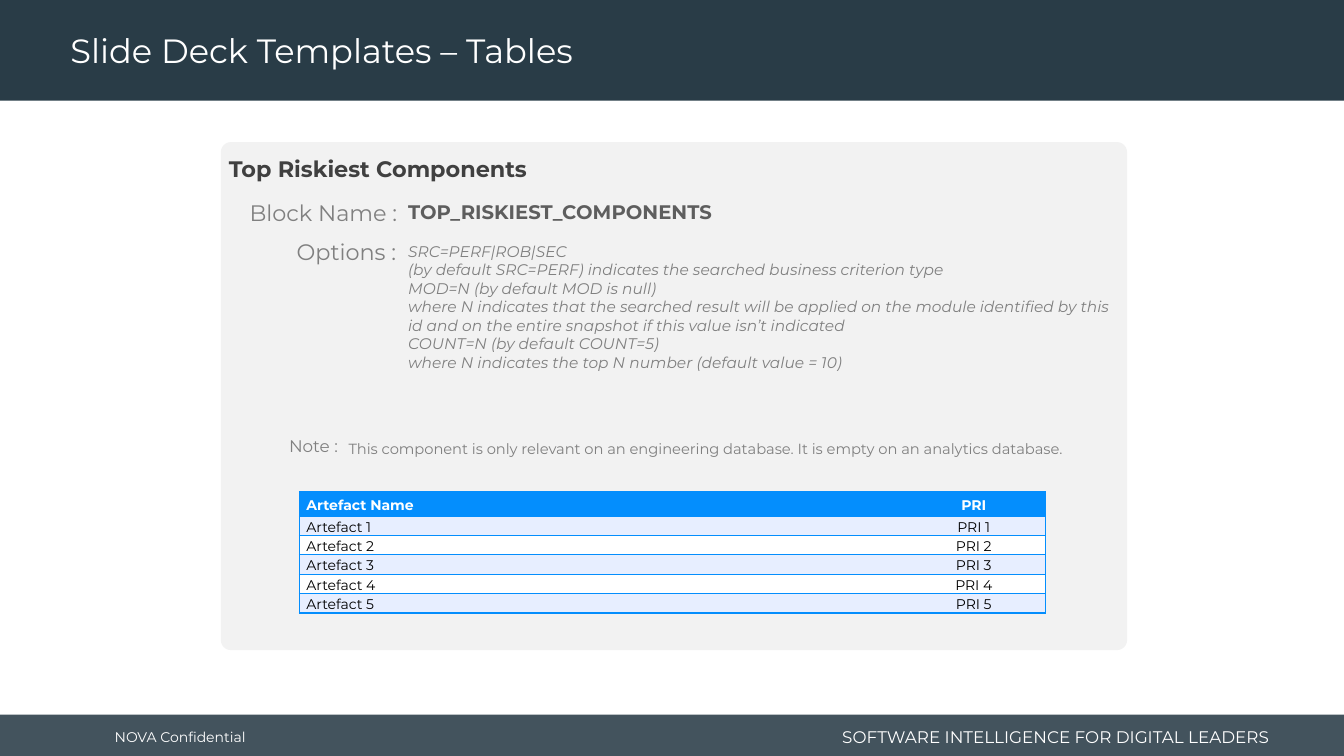
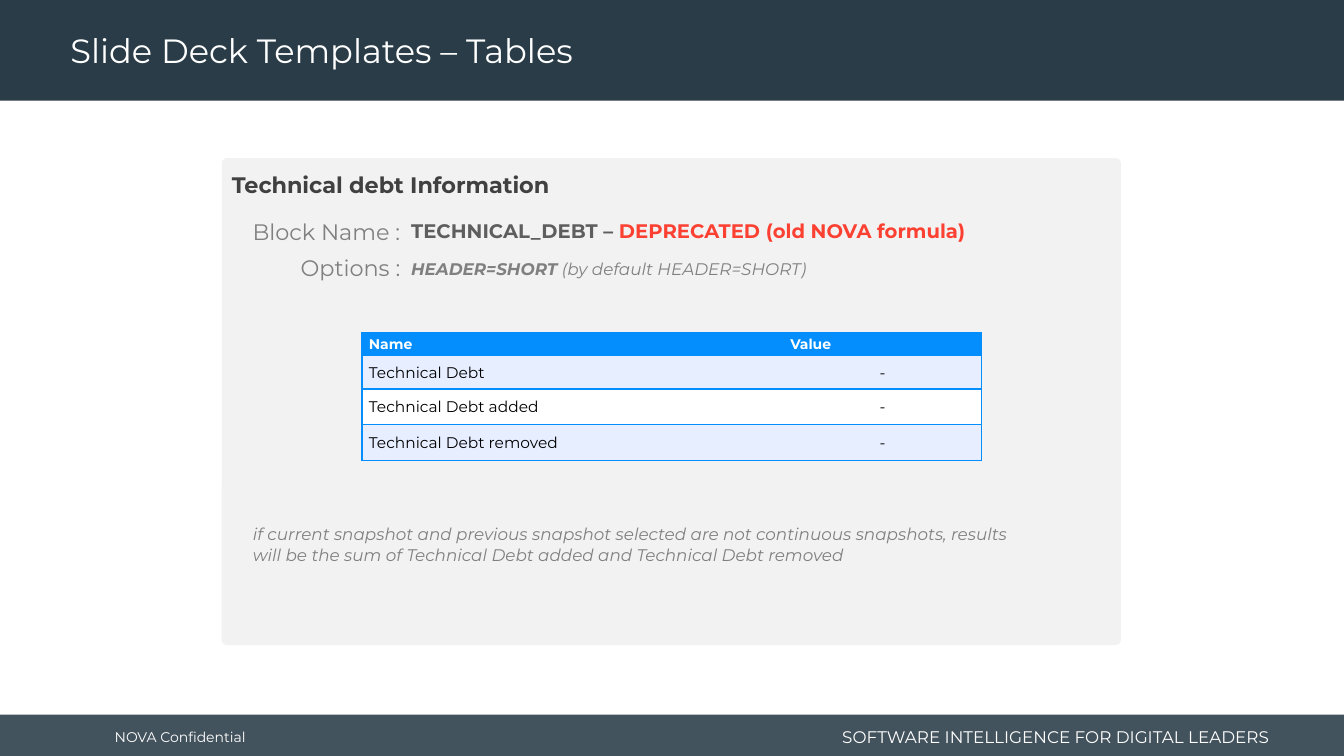
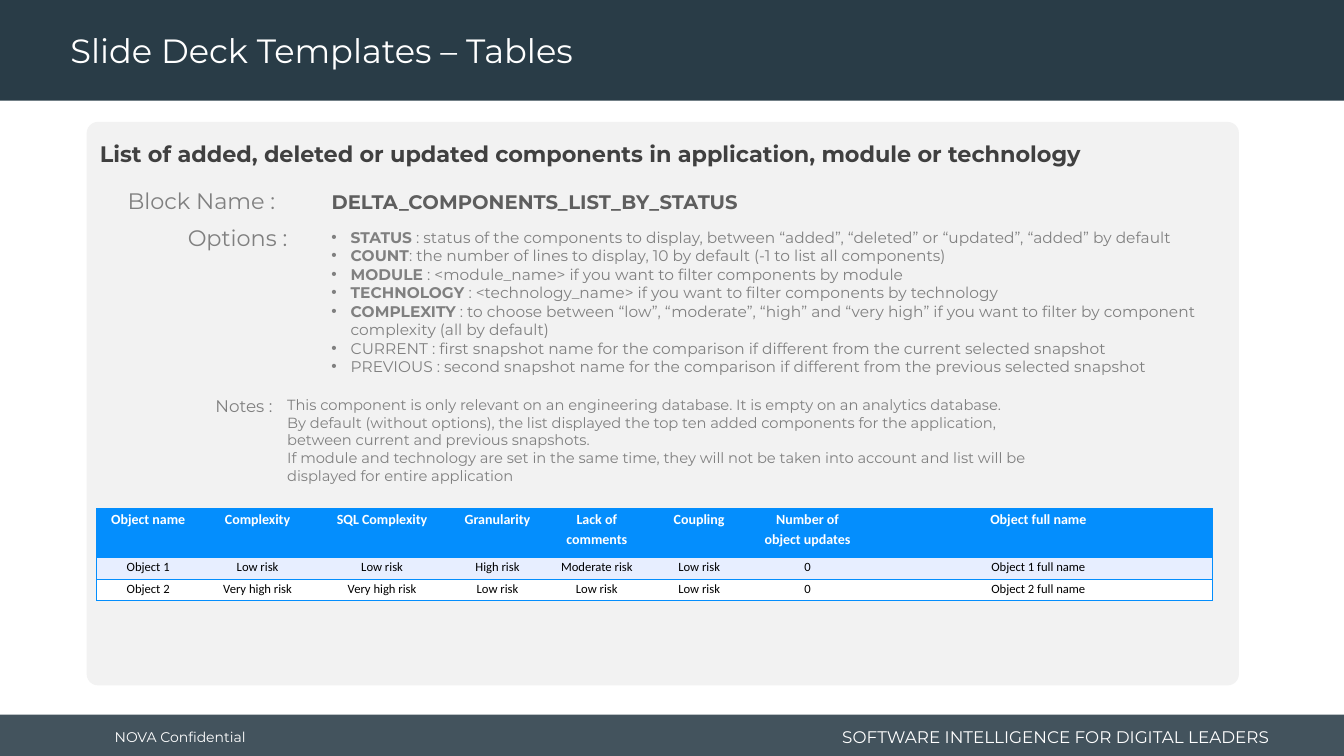
import pptx
import pptx.util
import pptx.dml.color
import pptx.enum.shapes
import pptx.enum.text
import pptx.oxml
import pptx.oxml.ns
import lxml.etree

WIDE = pptx.util.Inches(13.33)
HIGH = pptx.util.Inches(7.5)
FACE = "Montserrat"
HUES = {
    "navy": "293C47",
    "white": "FFFFFF",
    "black": "000000",
    "panel": "F2F2F2",
    "head": "404040",
    "name": "5E5E5E",
    "body": "808080",
    "blue": "048EFD",
    "tint": "E7EEFF",
    "red": "FC4132",
}
ALIGN = pptx.enum.text.PP_ALIGN
ANCHOR = pptx.enum.text.MSO_ANCHOR
SHAPE = pptx.enum.shapes.MSO_SHAPE


def across(share):
    return round(WIDE * share / 100)


def down(share):
    return round(HIGH * share / 100)


def place(left, top, width, height):
    return across(left), down(top), across(width), down(height)


def hue(name):
    return pptx.dml.color.RGBColor.from_string(HUES[name])


def child(parent, tag, **marks):
    node = lxml.etree.SubElement(parent, pptx.oxml.ns.qn(tag))
    for key, value in marks.items():
        node.set(key, str(value))
    return node


def style(run, size, color, bold=False, slant=False, face=FACE):
    run.font.size = pptx.util.Pt(size)
    run.font.name = face
    run.font.bold = bold
    run.font.italic = slant
    run.font.color.rgb = hue(color)


def block(slide, area, shape=SHAPE.RECTANGLE, color="navy", curve=None, solid=100):
    item = slide.shapes.add_shape(shape, *place(*area))
    item.shadow.inherit = False
    item.fill.solid()
    item.fill.fore_color.rgb = hue(color)
    item.line.fill.background()
    if curve is not None:
        item.adjustments[0] = curve
    if solid < 100:
        paint = item.fill._xPr.find(pptx.oxml.ns.qn("a:solidFill"))[0]
        child(paint, "a:alpha", val=solid * 1000)


def bullet(para):
    props = para._p.get_or_add_pPr()
    dent = pptx.util.Inches(0.19)
    props.set("marL", str(dent))
    props.set("indent", str(-dent))
    child(props, "a:buFont", typeface="Arial")
    child(props, "a:buChar", char="•")


def write(slide, area, lines, size, color, align=ALIGN.LEFT, anchor=ANCHOR.TOP,
          pad=0.1, space=None, dots=False, **look):
    item = slide.shapes.add_textbox(*place(*area))
    frame = item.text_frame
    frame.word_wrap = True
    frame.vertical_anchor = anchor
    frame.margin_left = frame.margin_right = pptx.util.Inches(pad)
    for index, line in enumerate(lines):
        para = frame.add_paragraph() if index else frame.paragraphs[0]
        para.alignment = align
        if space:
            para.line_spacing = space
        if dots:
            bullet(para)
        if isinstance(line, str):
            para.text = line
            for run in para.runs:
                style(run, size, color, **look)
            continue
        for text, change in line:
            run = para.add_run()
            run.text = text
            style(run, **{"size": size, "color": color, **look, **change})
    return frame


def label(slide, area, text, size=16):
    frame = write(slide, area, [text], size, "body", align=ALIGN.RIGHT)
    frame.word_wrap = False
    frame.auto_size = pptx.enum.text.MSO_AUTO_SIZE.SHAPE_TO_FIT_TEXT


def edge(cell, sides):
    props = cell._tc.get_or_add_tcPr()
    for index, side in enumerate("LRTB"):
        line = lxml.etree.Element(pptx.oxml.ns.qn("a:ln" + side))
        line.set("w", str(pptx.util.Pt(1)))
        if side in sides:
            child(child(line, "a:solidFill"), "a:srgbClr", val=HUES["blue"])
        else:
            child(line, "a:noFill")
        props.insert(index, line)


def grid(slide, left, top, cols, rows, cells, aligns, size=10, face=FACE,
         space=None, tops=(ANCHOR.MIDDLE, ANCHOR.MIDDLE), first=None):
    area = place(left, top, sum(cols), sum(rows))
    table = slide.shapes.add_table(len(rows), len(cols), *area).table
    table.first_row = table.horz_banding = False
    for col, width in zip(table.columns, cols):
        col.width = across(width)
    for row, height in zip(table.rows, rows):
        row.height = down(height)
    for r, texts in enumerate(cells):
        for c, text in enumerate(texts):
            cell = table.cell(r, c)
            cell.margin_left = cell.margin_right = pptx.util.Inches(0.07)
            cell.margin_top = cell.margin_bottom = 0
            cell.vertical_anchor = tops[min(r, 1)]
            cell.fill.solid()
            fill = "blue" if r == 0 else ("tint" if r % 2 else "white")
            cell.fill.fore_color.rgb = hue(fill)
            ends = "L" * (c == 0) + "R" * (c == len(cols) - 1)
            edge(cell, "TB" + ends)
            cell.text_frame.text = text
            para = cell.text_frame.paragraphs[0]
            para.alignment = (first or aligns)[c] if r == 0 else aligns[c]
            if space:
                para.line_spacing = space
            style(para.runs[0], 10 if r == 0 else size,
                  "black" if r else "white", bold=r == 0, face=face)


def start(deck):
    slide = deck.slides.add_slide(deck.slide_layouts[6])
    block(slide, (0, 94.53, 100, 5.47), solid=88)
    block(slide, (0, 0, 100, 13.33))
    write(slide, (7.8, 94.8, 13, 5.33), ["NOVA Confidential"], 10, "white",
          anchor=ANCHOR.MIDDLE)
    write(slide, (60.83, 95.33, 34.35, 4.27),
          ["SOFTWARE INTELLIGENCE FOR DIGITAL LEADERS"], 12, "white",
          align=ALIGN.RIGHT, anchor=ANCHOR.MIDDLE)
    write(slide, (4.5, 0.53, 71.85, 12.8), ["Slide Deck Templates – Tables"],
          24, "white", anchor=ANCHOR.MIDDLE, space=0.9)
    return slide


def card(slide, area, curve, title, head, name, tag, code, option):
    block(slide, area, SHAPE.ROUNDED_RECTANGLE, "panel", curve)
    write(slide, (*head, area[2], 4.93), [title], 16, "head", pad=0.2, bold=True)
    write(slide, (*code, 60, 4.53), [name], 14, "name", bold=True)
    label(slide, (*tag, 12.53, 4.93), "Block Name :")
    label(slide, (*option, 9.08, 4.93), "Options :")


def risk(deck):
    slide = start(deck)
    card(slide, (16.43, 18.8, 67.43, 67.2), 0.02, "Top Riskiest Components",
         (15.53, 19.87), "TOP_RISKIEST_COMPONENTS",
         (17.78, 25.73), (29.63, 25.73), (21.15, 30.8))
    write(slide, (29.63, 31.33, 54.38, 18.67), [
        "SRC=PERF|ROB|SEC",
        "(by default SRC=PERF) indicates the searched business criterion type",
        "MOD=N (by default MOD is null)",
        "where N indicates that the searched result will be applied on the module "
        "identified by this id and on the entire snapshot if this value isn’t indicated",
        "COUNT=N (by default COUNT=5)",
        "where N indicates the top N number (default value = 10)",
    ], 11, "body", slant=True)
    write(slide, (25.2, 57.47, 57.38, 3.87), [
        "This component is only relevant on an engineering database. "
        "It is empty on an analytics database."], 10.5, "body")
    label(slide, (20.63, 56.93, 5.25, 4), "Note :", 12)
    cells = [("Artefact Name", "PRI")]
    cells += [(f"Artefact {n}", f"PRI {n}") for n in range(1, 6)]
    grid(slide, 22.28, 65.07, (44.85, 10.65), [3.2] + [1.6] * 5, cells,
         (ALIGN.LEFT, ALIGN.CENTER), space=1.15, tops=(ANCHOR.MIDDLE, ANCHOR.TOP))


def debt(deck):
    slide = start(deck)
    card(slide, (16.5, 20.93, 66.9, 64.4), 0.01, "Technical debt Information",
         (15.75, 22),
         [("TECHNICAL_DEBT – ", {}),
          ("DEPRECATED (old NOVA formula)", {"color": "red"})],
         (18, 28.13), (29.85, 28.27), (21.45, 32.93))
    write(slide, (29.85, 33.6, 54.38, 4), [
        [("HEADER=SHORT", {"bold": True}), (" (by default HEADER=SHORT)", {})],
    ], 12, "body", slant=True)
    write(slide, (18.08, 68.67, 59.03, 6.67), [
        "if current snapshot and previous snapshot selected are not continuous "
        "snapshots, results will be the sum of Technical Debt added and "
        "Technical Debt removed"], 12, "body", slant=True)
    cells = [("Name", "Value")]
    cells += [("Technical Debt" + end, "-") for end in ("", " added", " removed")]
    grid(slide, 26.93, 44, (31.35, 14.78), (3.07, 4.4, 4.67, 4.8), cells,
         (ALIGN.LEFT, ALIGN.CENTER), size=11, first=(ALIGN.LEFT, ALIGN.LEFT))


def delta(deck):
    slide = start(deck)
    card(slide, (6.45, 16.13, 85.73, 74.53), 0.02,
         "List of added, deleted or updated components in application, "
         "module or technology", (5.93, 17.87), "DELTA_COMPONENTS_LIST_BY_STATUS",
         (8.7, 24.13), (23.93, 24.4), (13.05, 28.93))
    items = [
        ("STATUS", " : status of the components to display, between “added”, "
         "“deleted” or “updated”, “added” by default"),
        ("COUNT", ": the number of lines to display, 10 by default "
         "(-1 to list all components)"),
        ("MODULE", " : <module_name> if you want to filter components by module"),
        ("TECHNOLOGY", " : <technology_name> if you want to filter components "
         "by technology"),
        ("COMPLEXITY", " : to choose between “low”, “moderate”, “high” and "
         "“very high” if you want to filter by component complexity "
         "(all by default)"),
    ]
    lines = [[(key, {"bold": True}), (text, {})] for key, text in items]
    lines += [
        "CURRENT : first snapshot name for the comparison if different from "
        "the current selected snapshot",
        "PREVIOUS : second snapshot name for the comparison if different from "
        "the previous selected snapshot",
    ]
    write(slide, (23.93, 29.47, 68.55, 23.6), lines, 11, "body", dots=True)
    cells = [
        ("Object name", "Complexity", "SQL Complexity", "Granularity",
         "Lack of comments", "Coupling", "Number of object updates",
         "Object full name"),
        ("Object 1", "Low risk", "Low risk", "High risk", "Moderate risk",
         "Low risk", "0", "Object 1 full name"),
        ("Object 2", "Very high risk", "Very high risk", "Low risk", "Low risk",
         "Low risk", "0", "Object 2 full name"),
    ]
    grid(slide, 7.2, 67.33, (7.65, 8.63, 9.9, 7.28, 7.5, 7.73, 8.4, 25.95),
         (6.4, 2.93, 2.8), cells, [ALIGN.CENTER] * 8, size=9, face="Calibri",
         space=1.15, tops=(ANCHOR.TOP, ANCHOR.TOP))
    write(slide, (20.63, 51.73, 57.38, 13.07), [
        "This component is only relevant on an engineering database. "
        "It is empty on an analytics database.\n"
        "By default (without options), the list displayed the top ten added "
        "components for the application, between current and previous snapshots.",
        "If module and technology are set in the same time, they will not be "
        "taken into account and list will be displayed for entire application",
    ], 10.5, "body")
    label(slide, (15.08, 51.73, 5.93, 4), "Notes :", 12)


def main():
    deck = pptx.Presentation()
    deck.slide_width = WIDE
    deck.slide_height = HIGH
    risk(deck)
    debt(deck)
    delta(deck)
    deck.save("out.pptx")


if __name__ == "__main__":
    main()
